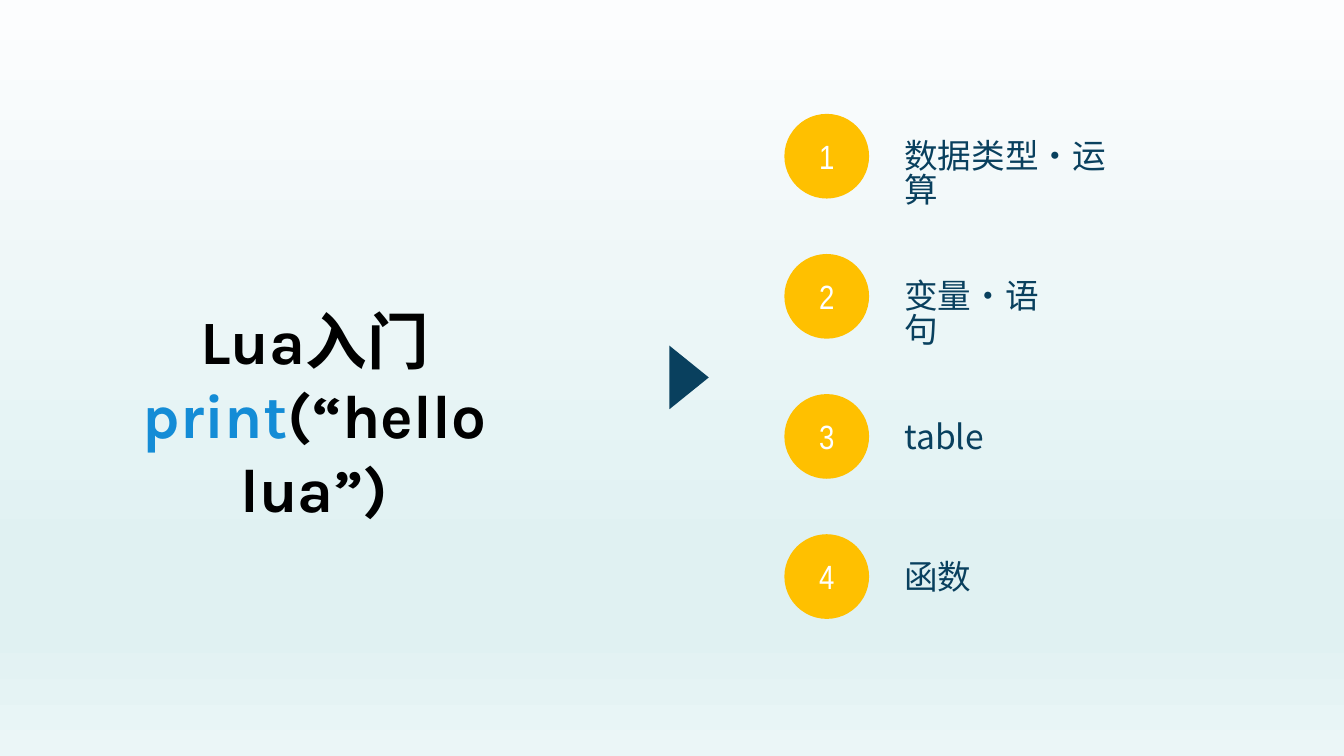
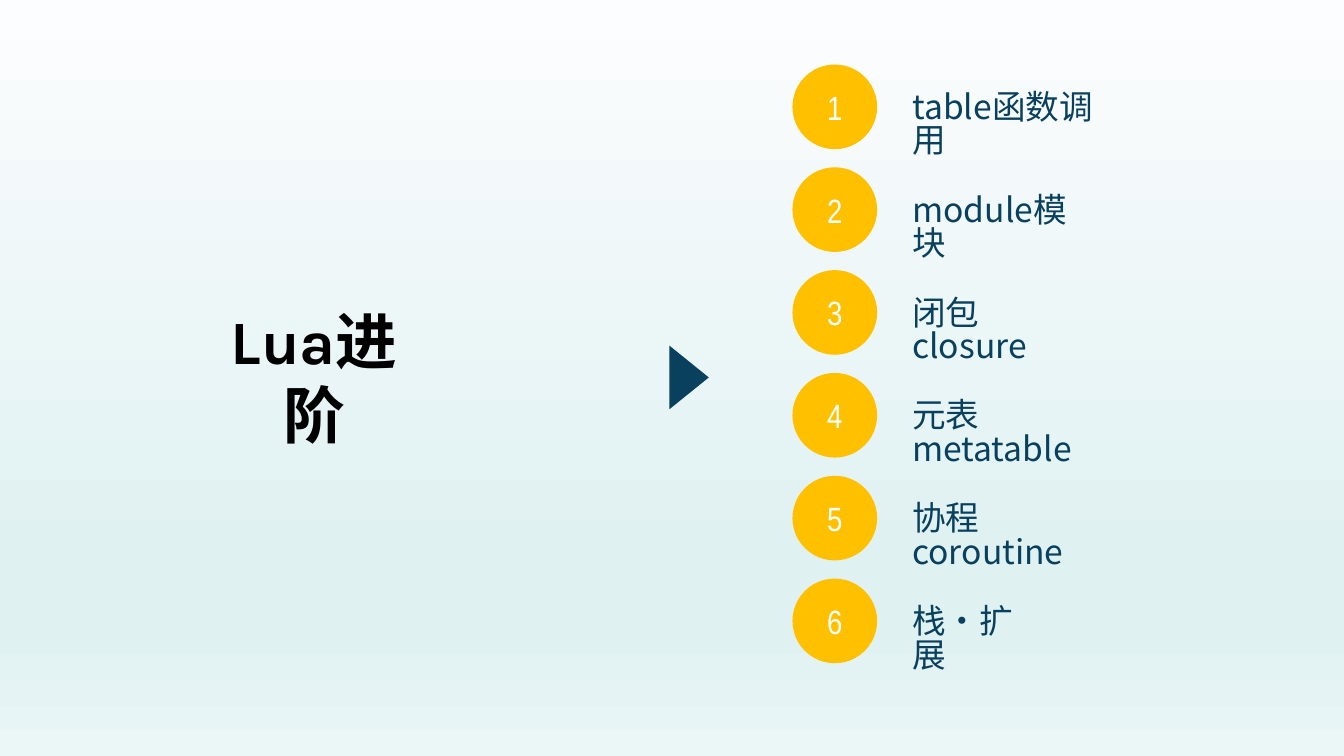
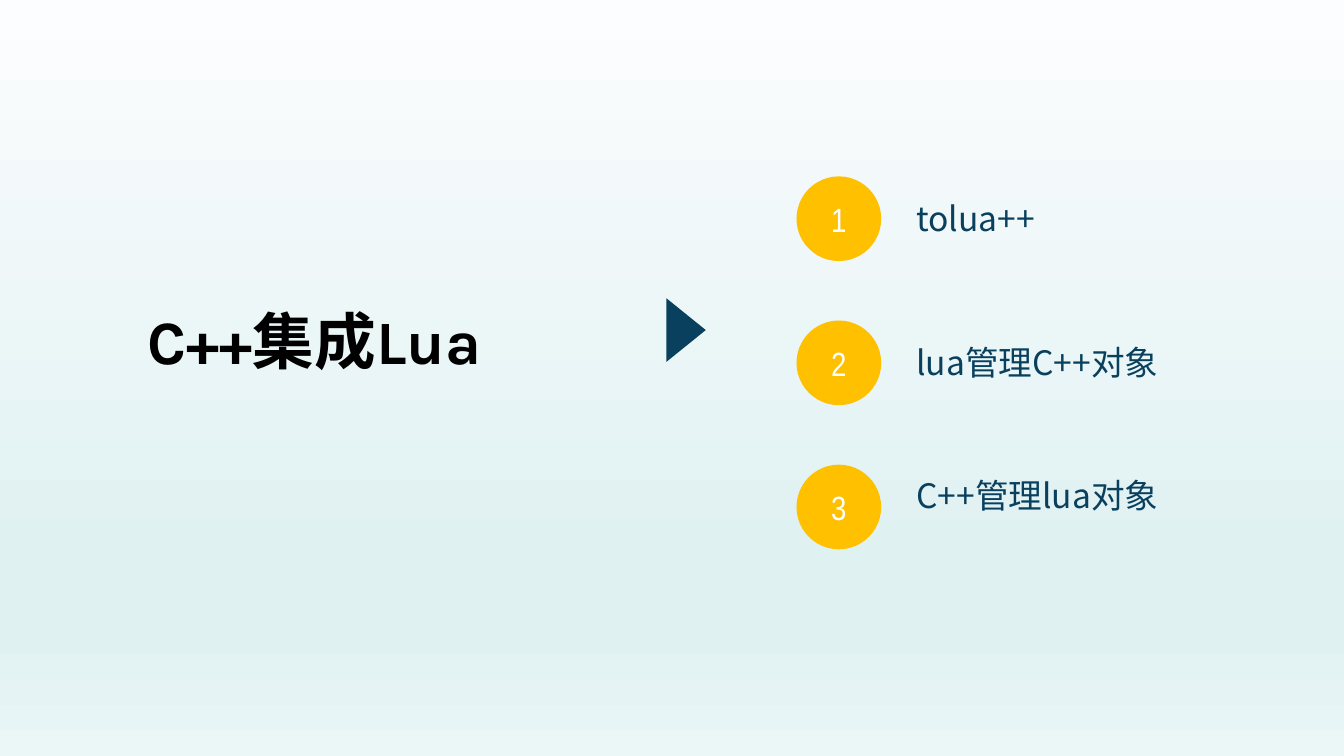
from pptx import Presentation, util as u
from pptx.dml.color import RGBColor
from pptx.enum import shapes, text
from pptx.oxml import parse_xml
from pptx.oxml.ns import nsdecls, qn

NAVY, GOLD, BLUE, BLACK, WHITE = "09405E", "FFC000", "148CD6", "000000", "FFFFFF"
TITLE_FONT, LABEL_FONT, NUMBER_FONT = "Karla", "Noto Sans CJK SC", "Arial Narrow"
BACKDROP = [(0, "FCFDFE"), (74, "E0F1F2"), (83, "E0F1F2"), (100, "EBF6F7")]
DISC = 0.84


def paint(target, color):
    """Give a shape a plain fill without line or shadow."""
    target.shadow.inherit = False
    target.fill.solid()
    target.fill.fore_color.rgb = RGBColor.from_string(color)
    target.line.fill.background()


def add_span(para, words, font, size, color, bold=False):
    span = para.add_run()
    span.text = words
    span.font.name = font
    span.font.size = u.Pt(size)
    span.font.bold = bold
    span.font.color.rgb = RGBColor.from_string(color)
    east_asian = parse_xml(f'<a:ea {nsdecls("a")} typeface="{font}"/>')
    span.font._element.find(qn("a:latin")).addnext(east_asian)


# Title: left, width and paragraphs; arrow: left and top
# List: left, top and step; items: label, width and drop below the disc's top
pages = [
    dict(
        title=(0.62, 5.0, [[("Lua入门", BLACK)],
                           [("print", BLUE), ("(“hello lua”)", BLACK)]]),
        arrow=(6.52, 3.55),
        start=(7.78, 1.13, 1.39),
        items=[("数据类型·运算", 2.28, 0.2), ("变量·语句", 1.61, 0.2),
               ("table", 1.05, 0.2), ("函数", 0.9, 0.2)],
    ),
    dict(
        title=(1.9, 2.43, [[("Lua进阶", BLACK)]]),
        arrow=(6.52, 3.55),
        start=(7.86, 0.64, 1.02),
        items=[("table函数调用", 2.25, 0.2), ("module模块", 2.05, 0.2),
               ("闭包 closure", 2.0, 0.2), ("元表 metatable", 2.4, 0.2),
               ("协程 coroutine", 2.35, 0.2), ("栈·扩展", 1.28, 0.2)],
    ),
    dict(
        title=(1.32, 3.6, [[("C++集成Lua", BLACK)]]),
        arrow=(6.49, 3.08),
        start=(7.9, 1.75, 1.43),
        items=[("tolua++", 1.51, 0.2), ("lua管理C++对象", 2.65, 0.2),
               ("C++管理lua对象", 2.65, 0.09)],
    ),
]

deck = Presentation()
deck.slide_width, deck.slide_height = u.Inches(13.33), u.Inches(7.5)

# Shared background gradient
backdrop = deck.slide_master.background.fill
backdrop.gradient()
backdrop.gradient_angle = 270
stops = deck.slide_master.element.find(".//" + qn("a:gsLst"))
for stop in list(stops):
    stops.remove(stop)
for place, color in BACKDROP:
    stops.append(parse_xml(
        f'<a:gs {nsdecls("a")} pos="{place * 1000}"><a:srgbClr val="{color}"/></a:gs>'))

for content in pages:
    page = deck.slides.add_slide(deck.slide_layouts[5])

    # Title
    left, width, lines = content["title"]
    title = page.shapes.title
    title.left, title.top = u.Inches(left), u.Inches(2.96)
    title.width, title.height = u.Inches(width), u.Inches(0.84 * len(lines))
    frame = title.text_frame
    frame.word_wrap = True
    frame.auto_size = text.MSO_AUTO_SIZE.NONE
    frame.vertical_anchor = text.MSO_ANCHOR.TOP
    for number, line in enumerate(lines):
        para = frame.add_paragraph() if number else frame.paragraphs[0]
        para.alignment = text.PP_ALIGN.CENTER
        for words, color in line:
            add_span(para, words, TITLE_FONT, 44, color, bold=True)

    # Arrow from title to list
    left, top = content["arrow"]
    arrow = page.shapes.add_shape(shapes.MSO_SHAPE.ISOSCELES_TRIANGLE, u.Inches(left),
                                  u.Inches(top), u.Inches(0.63), u.Inches(0.39))
    arrow.rotation = 90
    paint(arrow, NAVY)

    # Numbered list
    left, start, step = content["start"]
    for number, (label, width, drop) in enumerate(content["items"]):
        top = start + number * step
        item = page.shapes.add_group_shape()

        disc = item.shapes.add_shape(shapes.MSO_SHAPE.OVAL, u.Inches(left), u.Inches(top),
                                     u.Inches(DISC), u.Inches(DISC))
        paint(disc, GOLD)
        disc.text_frame.vertical_anchor = text.MSO_ANCHOR.MIDDLE
        para = disc.text_frame.paragraphs[0]
        para.alignment = text.PP_ALIGN.CENTER
        add_span(para, str(number + 1), NUMBER_FONT, 24, WHITE)

        box = item.shapes.add_textbox(u.Inches(left + 1.09), u.Inches(top + drop),
                                      u.Inches(width), u.Inches(0.53))
        box.text_frame.word_wrap = True
        box.text_frame.margin_top = u.Inches(0.08)
        para = box.text_frame.paragraphs[0]
        para.line_spacing = 0.83
        add_span(para, label, LABEL_FONT, 24, NAVY)

deck.save("out.pptx")
